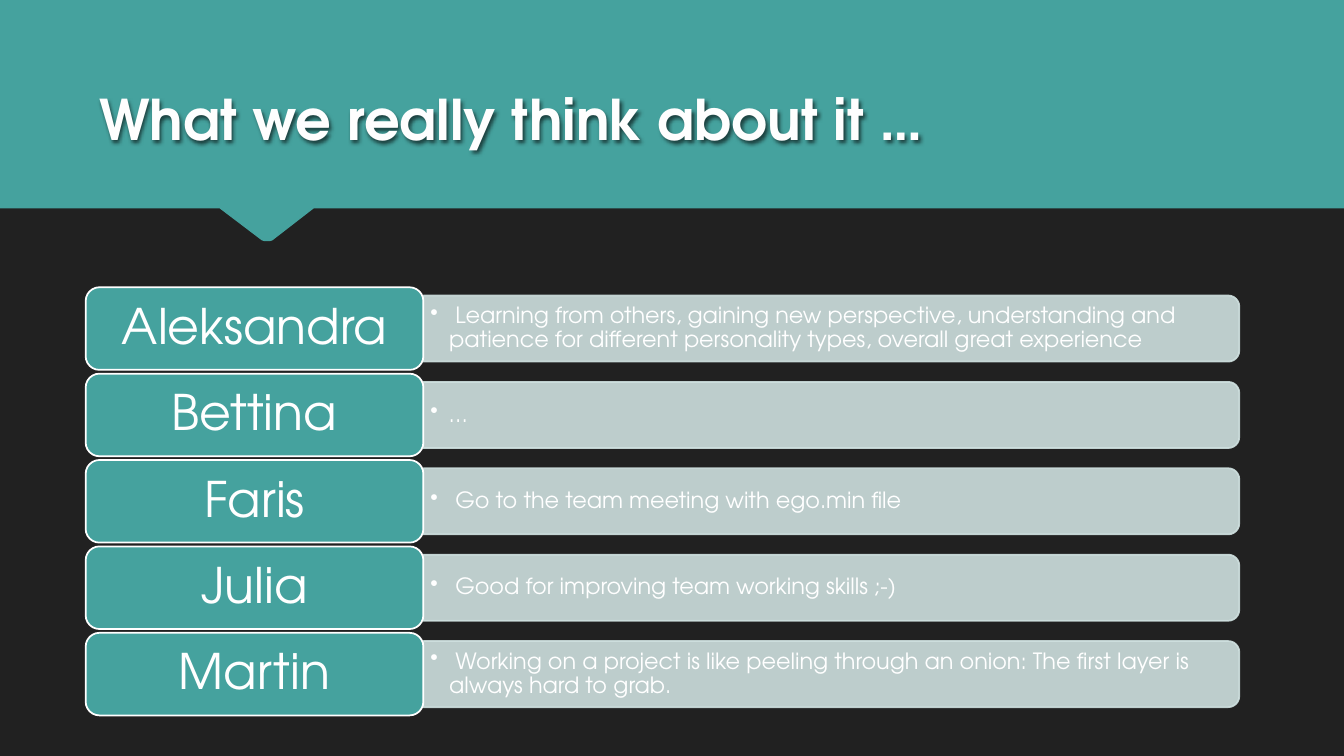
import pptx
import pptx.dml.color
import pptx.enum.shapes
import pptx.enum.text
import pptx.util
from lxml import etree
from pptx.oxml.ns import qn

Pt = pptx.util.Pt
SHAPES = pptx.enum.shapes.MSO_SHAPE
ANCHOR = pptx.enum.text.MSO_ANCHOR
ALIGN = pptx.enum.text.PP_ALIGN

TEAL = "45A29E"
PALE = "CFE0DF"
WHITE = "FFFFFF"
DARK = "212121"

OPINIONS = [
    ("Aleksandra", " Learning from others, gaining new perspective, understanding and "
                   "patience for different personality types, overall great experience"),
    ("Bettina", "…"),
    ("Faris", " Go to the team meeting with ego.min file"),
    ("Julia", " Good for improving team working skills ;-)"),
    ("Martin", " Working on a project is like peeling through an onion: "
               "The first layer is always hard to grab."),
]


def color(value):
    return pptx.dml.color.RGBColor.from_string(value)


class SlideBuilder:
    font_name = "TeX Gyre Adventor"

    def __init__(self, slide, background):
        self.slide = slide
        slide.background.fill.solid()
        slide.background.fill.fore_color.rgb = color(background)

    def paint(self, shape, fill, line, weight, opacity=100):
        shape.shadow.inherit = False
        shape.fill.solid()
        shape.fill.fore_color.rgb = color(fill)
        shape.line.color.rgb = color(line)
        shape.line.width = Pt(weight)
        if opacity < 100:
            for tone in shape._element.spPr.iter(qn("a:srgbClr")):
                etree.SubElement(tone, qn("a:alpha"), val=str(opacity * 1000))

    def outline(self, points, fill):
        corners = [(Pt(x), Pt(y)) for x, y in points]
        builder = self.slide.shapes.build_freeform(*corners[0])
        builder.add_line_segments(corners[1:], close=True)
        self.paint(builder.convert_to_shape(), fill, fill, 0.75)

    def box(self, kind, left, top, width, height, fill, line, opacity=100):
        shape = self.slide.shapes.add_shape(kind, Pt(left), Pt(top), Pt(width), Pt(height))
        self.paint(shape, fill, line, 1.25, opacity)
        return shape

    def textbox(self, left, top, width, height):
        return self.slide.shapes.add_textbox(Pt(left), Pt(top), Pt(width), Pt(height))

    def set_text(self, shape, text, size, tone=WHITE, bold=False, align=ALIGN.LEFT,
                 anchor=ANCHOR.MIDDLE, insets=(7.2, 3.6), spacing=0.9, bullet_indent=0):
        frame = shape.text_frame
        frame.word_wrap = True
        frame.vertical_anchor = anchor
        frame.margin_left = frame.margin_right = Pt(insets[0])
        frame.margin_top = frame.margin_bottom = Pt(insets[1])
        paragraph = frame.paragraphs[0]
        paragraph.text = text
        paragraph.alignment = align
        paragraph.line_spacing = spacing
        if bullet_indent:
            properties = paragraph._p.get_or_add_pPr()
            properties.set("marL", str(Pt(bullet_indent)))
            properties.set("indent", str(-Pt(bullet_indent)))
            etree.SubElement(properties, qn("a:buChar"), char="•")
        paragraph.font.name = self.font_name
        paragraph.font.size = Pt(size)
        paragraph.font.bold = bold
        paragraph.font.color.rgb = color(tone)

    def cast_shadow(self, shape):
        shape.shadow.inherit = False
        effects = shape._element.spPr.find(qn("a:effectLst"))
        shadow = etree.SubElement(effects, qn("a:outerShdw"), blurRad=str(Pt(3)),
                                  dist=str(Pt(2)), dir="3600000")
        tone = etree.SubElement(shadow, qn("a:srgbClr"), val="000000")
        etree.SubElement(tone, qn("a:alpha"), val="60000")


def main():
    deck = pptx.Presentation()
    deck.slide_width, deck.slide_height = Pt(960), Pt(540)
    page = SlideBuilder(deck.slides.add_slide(deck.slide_layouts[6]), DARK)

    page.outline([(960, 0), (0, 0), (0, 148.5), (157, 148.5), (187.2, 171.4), (189, 172),
                  (192.6, 172), (194.4, 171.4), (224, 148.5), (960, 148.5)], TEAL)
    title = page.textbox(64, 35.3, 832.3, 76.3)
    page.set_text(title, "What we really think about it …", 40, "FEFEFE", bold=True,
                  anchor=ANCHOR.BOTTOM, spacing=1)
    page.cast_shadow(title)

    name_left, name_width, name_height = 61.2, 241.2, 59
    bar_left, bar_length, bar_height = 302.4, 582.8, 47.2
    first_top, pitch = 205.2, 61.7
    for row, (name, opinion) in enumerate(OPINIONS):
        top = first_top + row * pitch
        middle = top + name_height / 2
        bar = page.box(SHAPES.ROUND_2_SAME_RECTANGLE,
                       bar_left + (bar_length - bar_height) / 2, middle - bar_length / 2,
                       bar_height, bar_length, PALE, PALE, opacity=90)
        bar.rotation = 90
        page.set_text(page.textbox(bar_left, middle - 21.3, 580.5, 42.6), opinion, 16,
                      insets=(5, 2.5), bullet_indent=13.5)
        plate = page.box(SHAPES.ROUNDED_RECTANGLE, name_left, top, name_width, name_height,
                         TEAL, WHITE)
        page.set_text(plate, name, 35, align=ALIGN.CENTER, insets=(10.5, 5.25))

    deck.save("out.pptx")


if __name__ == "__main__":
    main()
